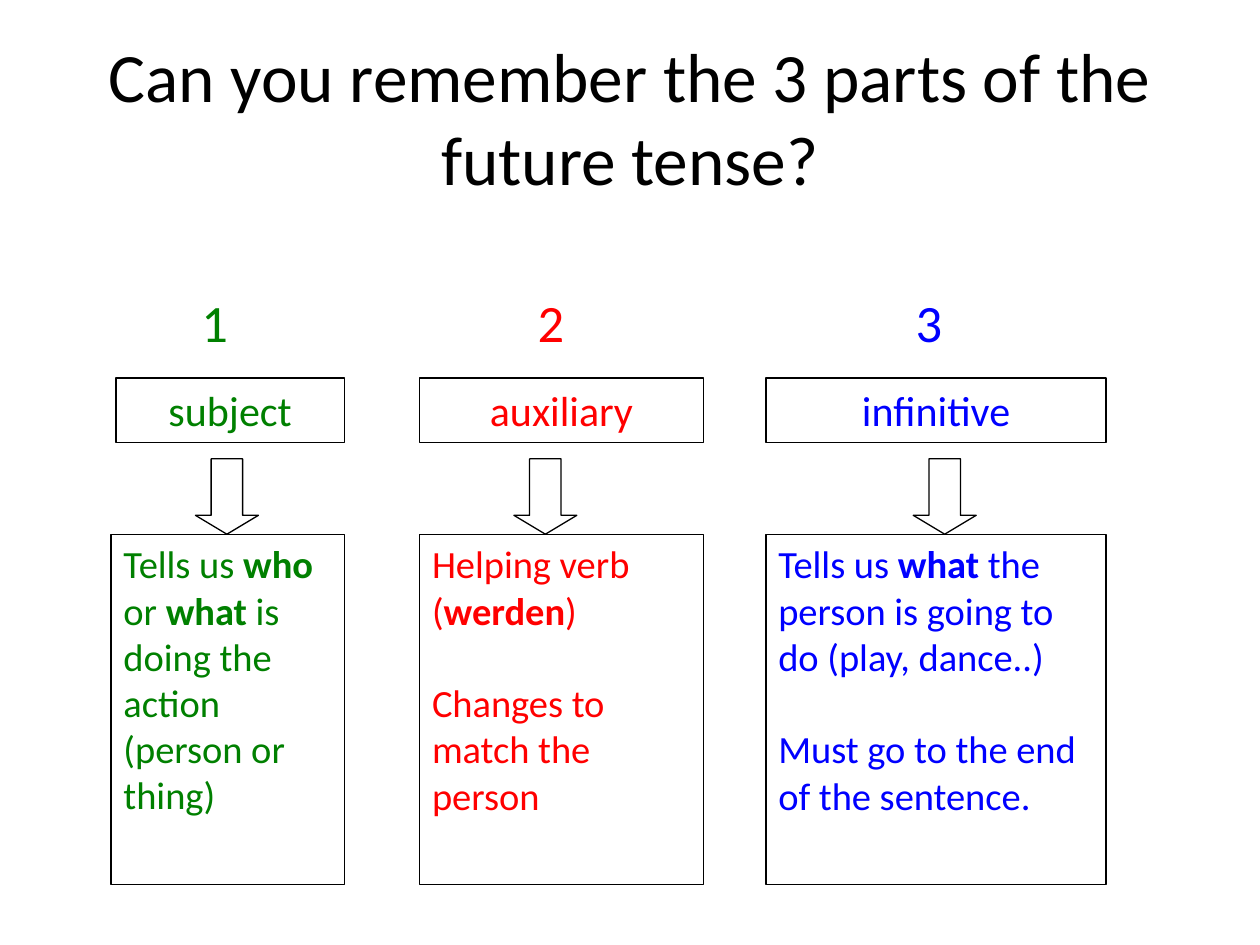
from pptx import Presentation
from pptx.dml.color import RGBColor
from pptx.enum.shapes import MSO_SHAPE
from pptx.enum.text import MSO_ANCHOR, MSO_AUTO_SIZE, PP_ALIGN
from pptx.util import Cm, Pt

COLUMNS = [
    {"box": (2.24, 5.72, 4.7, 12.11), "hue": "008000", "num": "1",
     "name": "subject", "inset": 0.1, "shift": (1.57, 1.7),
     "body": ["Tells us *who* or *what* is doing the action (person or thing)"]},
    {"box": (8.46, 5.72, 5.72, 12.11), "hue": "FF0000", "num": "2",
     "name": "auxiliary", "inset": 0, "shift": (2.13, 1.9),
     "body": ["Helping verb (*werden*)", "Changes to match the person"]},
    {"box": (15.44, 5.72, 6.86, 12.11), "hue": "0000FF", "num": "3",
     "name": "infinitive", "inset": 0, "shift": (2.77, 2.97),
     "body": ["Tells us *what* the person is going to do (play, dance..)",
              "Must go to the end of the sentence."]},
]


def paint(code):
    return RGBColor.from_string(code)


def apply(item, style):
    for key, value in style.items():
        setattr(item, key, value)


def write(frame, lines, size, hue, align=PP_ALIGN.LEFT, anchor=MSO_ANCHOR.TOP):
    apply(frame, {"word_wrap": True, "auto_size": MSO_AUTO_SIZE.NONE,
                  "vertical_anchor": anchor})
    for row, line in enumerate(lines):
        para = frame.add_paragraph() if row else frame.paragraphs[0]
        apply(para, {"alignment": align, "space_before": Pt(26.5 if row else 0)})
        for part, text in enumerate(line.split("*")):
            run = para.add_run()
            run.text = text
            apply(run.font, {"name": "Calibri", "size": Pt(size),
                             "bold": part % 2 == 1})
            run.font.color.rgb = paint(hue)


def draw(slide, kind, box, fill=None):
    shape = slide.shapes.add_shape(kind, *map(Cm, box))
    shape.shadow.inherit = False
    if fill:
        shape.fill.solid()
        shape.fill.fore_color.rgb = paint(fill)
    else:
        shape.fill.background()
    shape.line.color.rgb = paint("000000")
    shape.line.width = Pt(0.75)
    return shape


def add_title(slide, box, text):
    title = slide.shapes.title
    left, top, width, height = map(Cm, box)
    apply(title, {"left": left, "top": top, "width": width, "height": height})
    write(title.text_frame, [text], 39.6, "000000",
          PP_ALIGN.CENTER, MSO_ANCHOR.MIDDLE)


def add_column(slide, box, hue, num, name, inset, shift, body):
    left, top, width, height = box
    digit, arrow = shift
    label = slide.shapes.add_textbox(
        *map(Cm, (left + digit, top, 1.7, 1.55)))
    write(label.text_frame, [num], 30, hue)

    tag = draw(slide, MSO_SHAPE.RECTANGLE,
               (left + inset, top + 1.9, width - inset, 1.3))
    write(tag.text_frame, [name], 24, hue, PP_ALIGN.CENTER)

    point = draw(slide, MSO_SHAPE.DOWN_ARROW,
                 (left + arrow, top + 3.53, 1.27, 1.52), "FFFFFF")
    point.adjustments[0] = 0.5
    point.adjustments[1] = 0.3

    panel = draw(slide, MSO_SHAPE.RECTANGLE,
                 (left, top + 5.05, width, height - 5.05))
    write(panel.text_frame, body, 22, hue)


def main():
    deck = Presentation()
    deck.slide_width, deck.slide_height = Cm(25.4), Cm(19.05)
    slide = deck.slides.add_slide(deck.slide_layouts[5])
    add_title(slide, (1.27, 0.76, 22.86, 3.18),
              "Can you remember the 3 parts of the future tense?")
    for column in COLUMNS:
        add_column(slide, **column)
    deck.save("out.pptx")


if __name__ == "__main__":
    main()
